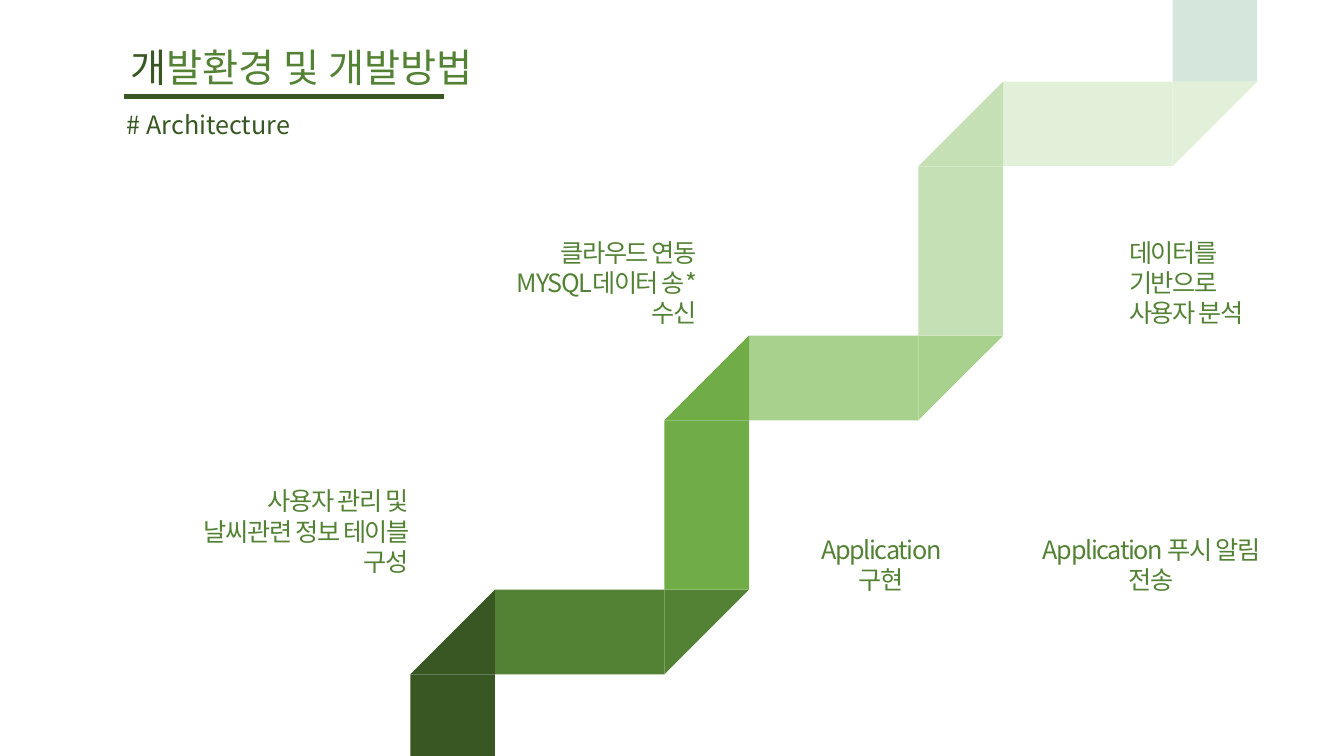
from dataclasses import dataclass

from lxml.etree import SubElement
from pptx import Presentation
from pptx.dml.color import RGBColor
from pptx.enum.shapes import MSO_CONNECTOR, MSO_SHAPE
from pptx.enum.text import PP_ALIGN
from pptx.oxml.ns import qn
from pptx.util import Inches, Pt


@dataclass(frozen=True)
class Theme:
    font: str = "Noto Sans CJK KR"
    title_size: int = 28
    body_size: int = 18
    dark: str = "385723"
    green: str = "548235"
    tail: str = "D5E7DD"
    risers: tuple = ("385723", "70AD47", "C5E0B4")
    treads: tuple = ("548235", "A9D18E", "E2F0D9")


THEME = Theme()
SLIDE_WIDTH, SLIDE_HEIGHT = 13.33, 7.5
CELL = 0.84
STEP = 3
STAIR_LEFT, STAIR_TOP = 4.07, 0.81
BOTTOM_ROW = (SLIDE_HEIGHT - STAIR_TOP) / CELL
TOP_ROW = -STAIR_TOP / CELL


def add_block(page, preset, column, row, columns, rows, color, flip=None):
    block = page.shapes.add_shape(
        preset,
        Inches(STAIR_LEFT + column * CELL),
        Inches(STAIR_TOP + row * CELL),
        Inches(columns * CELL),
        Inches(rows * CELL),
    )
    block.shadow.inherit = False
    block.fill.solid()
    block.fill.fore_color.rgb = RGBColor.from_string(color)
    block.line.fill.background()
    if flip:
        block.element.spPr.get_or_add_xfrm().set(flip, "1")


def add_stair(page, index):
    column = index * STEP
    row = (len(THEME.risers) - 1 - index) * STEP
    riser, tread = THEME.risers[index], THEME.treads[index]
    riser_rows = min(2, BOTTOM_ROW - row - 1)
    add_block(page, MSO_SHAPE.RECTANGLE, column + 1, row, 2, 1, tread)
    add_block(page, MSO_SHAPE.RIGHT_TRIANGLE, column + 3, row, 1, 1, tread, "flipV")
    add_block(page, MSO_SHAPE.RECTANGLE, column, row + 1, 1, riser_rows, riser)
    add_block(page, MSO_SHAPE.RIGHT_TRIANGLE, column, row, 1, 1, riser, "flipH")


def add_text(page, left, top, width, height, lines, size, align, spacing=None):
    box = page.shapes.add_textbox(Inches(left), Inches(top), Inches(width), Inches(height))
    frame = box.text_frame
    frame.word_wrap = True
    for index, spans in enumerate(lines):
        para = frame.paragraphs[0] if index == 0 else frame.add_paragraph()
        para.alignment = align
        for text, color in spans:
            span = para.add_run()
            span.text = text
            span.font.size = Pt(size)
            span.font.name = THEME.font
            span.font.color.rgb = RGBColor.from_string(color)
            properties = span.font._element
            SubElement(properties, qn("a:ea")).set("typeface", THEME.font)
            if spacing is not None:
                properties.set("spc", str(spacing))


def add_label(page, left, top, width, height, lines, align):
    spans = [[(line, THEME.green)] for line in lines]
    add_text(page, left, top, width, height, spans, THEME.body_size, align, -100)


def add_rule(page, left, right, top):
    rule = page.shapes.add_connector(
        MSO_CONNECTOR.STRAIGHT, Inches(left), Inches(top), Inches(right), Inches(top)
    )
    rule.line.color.rgb = RGBColor.from_string(THEME.dark)
    rule.line.width = Pt(3.75)
    SubElement(rule._element.spPr, qn("a:effectLst"))


def add_heading(page):
    title = [[("개", THEME.dark), ("발환경 및 개발방법", THEME.green)]]
    add_text(page, 1.2, 0.38, 3.74, 0.57, title, THEME.title_size, PP_ALIGN.JUSTIFY)
    add_rule(page, 1.23, 4.4, 0.96)
    subtitle = [[("# Architecture", THEME.dark)]]
    add_text(page, 1.16, 1.04, 3.23, 0.4, subtitle, THEME.body_size, PP_ALIGN.LEFT)


def main():
    deck = Presentation()
    deck.slide_width, deck.slide_height = Inches(SLIDE_WIDTH), Inches(SLIDE_HEIGHT)
    page = deck.slides.add_slide(deck.slide_layouts[6])
    add_heading(page)
    for index in range(len(THEME.risers)):
        add_stair(page, index)
    add_block(page, MSO_SHAPE.RECTANGLE, 9, TOP_ROW, 1, -TOP_ROW, THEME.tail)
    labels = (
        (10.03, 5.25, 2.77, 0.4, ["Application 푸시 알림 전송"], PP_ALIGN.CENTER),
        (7.85, 5.25, 1.77, 0.4, ["Application 구현"], PP_ALIGN.CENTER),
        (4.63, 2.3, 2.38, 0.71, ["클라우드 연동", "MYSQL데이터 송*수신"], PP_ALIGN.RIGHT),
        (1.49, 4.77, 2.66, 0.71, ["사용자 관리 및", "날씨관련 정보 테이블 구성"], PP_ALIGN.RIGHT),
        (11.1, 2.3, 1.92, 0.71, ["데이터를 기반으로", "사용자 분석"], PP_ALIGN.LEFT),
    )
    for label in labels:
        add_label(page, *label)
    deck.save("out.pptx")


if __name__ == "__main__":
    main()
